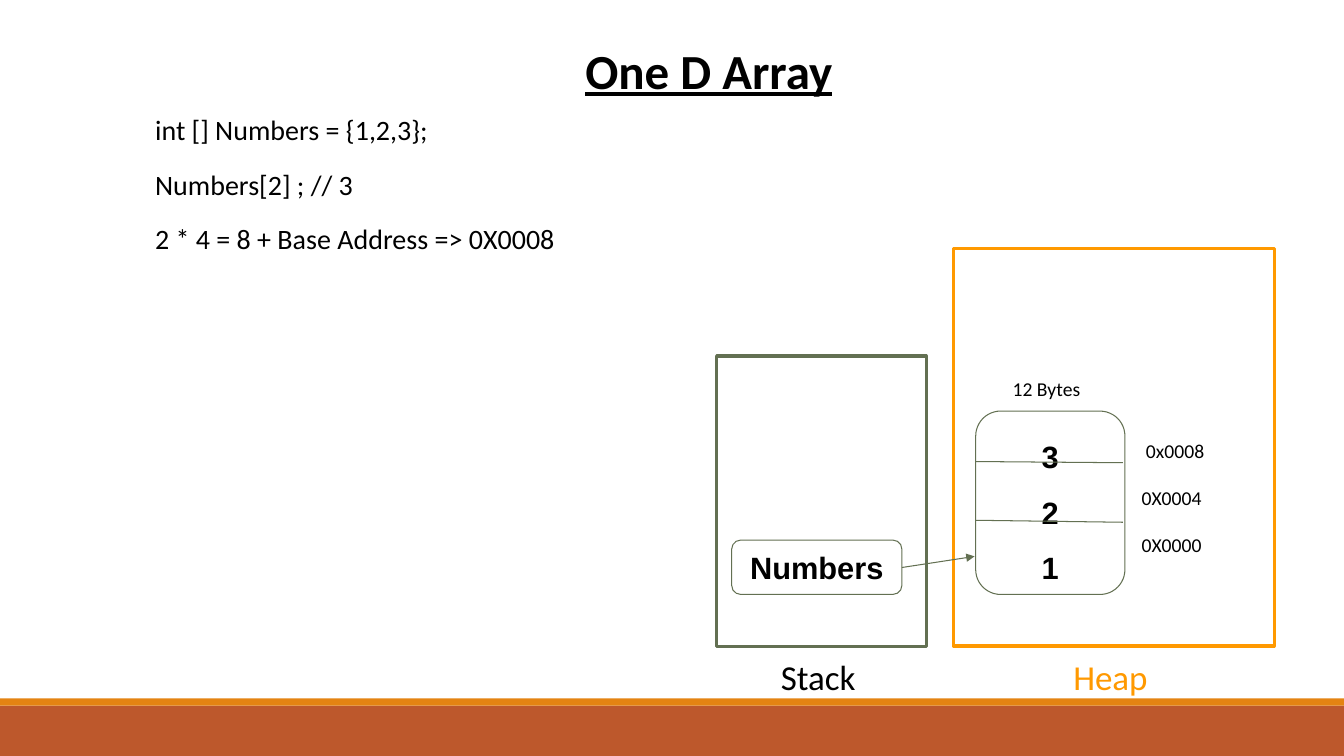
from lxml.etree import SubElement
from pptx import Presentation
from pptx.dml.color import RGBColor
from pptx.enum.shapes import MSO_CONNECTOR, MSO_SHAPE
from pptx.enum.text import MSO_ANCHOR, PP_ALIGN
from pptx.oxml.ns import qn
from pptx.util import Cm, Pt

BLACK = RGBColor(0x00, 0x00, 0x00)
GREEN = RGBColor(0x63, 0x70, 0x52)
AMBER = RGBColor(0xFF, 0x99, 0x00)
ORANGE = RGBColor(0xE4, 0x83, 0x12)
RUST = RGBColor(0xBD, 0x58, 0x2C)

WIDTH, HEIGHT = 33.87, 19.05
INSET = 0.25
THIN, THICK = 0.75, 2.25


class MemorySlide:
    """Draws on one slide; all lengths are in centimetres."""
    text_font, box_font = "Calibri", "Arial"

    def __init__(self, prs):
        self.slide = prs.slides.add_slide(prs.slide_layouts[6])

    def fill_text(self, s, lines, size, font, color=BLACK, bold=False,
                  underline=False):
        tf = s.text_frame
        tf.word_wrap = True
        tf.margin_left = tf.margin_right = Cm(INSET)
        tf.margin_top = tf.margin_bottom = Cm(INSET)
        tf.text = "\n".join(lines)
        for p in tf.paragraphs:
            for r in p.runs:
                r.font.name, r.font.size = font, Pt(size)
                r.font.bold, r.font.underline = bold, underline
                r.font.color.rgb = color
        return tf

    def text(self, x, y, w, h, lines, size, gap=0, **style):
        s = self.slide.shapes.add_textbox(Cm(x), Cm(y), Cm(w), Cm(h))
        tf = self.fill_text(s, lines, size, self.text_font, **style)
        for p in tf.paragraphs[1:]:
            p.space_before = Pt(gap)

    def shape(self, kind, x, y, w, h):
        s = self.slide.shapes.add_shape(kind, Cm(x), Cm(y), Cm(w), Cm(h))
        s.shadow.inherit = False
        return s

    def bar(self, y, h, color):
        s = self.shape(MSO_SHAPE.RECTANGLE, 0, y, WIDTH, h)
        s.fill.solid()
        s.fill.fore_color.rgb = color
        s.line.fill.background()

    def outline(self, kind, x, y, w, h, color, weight):
        s = self.shape(kind, x, y, w, h)
        s.fill.background()
        s.line.color.rgb, s.line.width = color, Pt(weight)
        return s

    def region(self, x, y, w, h, color):
        self.outline(MSO_SHAPE.RECTANGLE, x, y, w, h, color, THICK)

    def variable(self, x, y, w, h, lines, spacing=1.0):
        """Rounded box with bold centred text."""
        s = self.outline(MSO_SHAPE.ROUNDED_RECTANGLE, x, y, w, h, GREEN, THIN)
        tf = self.fill_text(s, lines, 22, self.box_font, bold=True)
        tf.vertical_anchor = MSO_ANCHOR.MIDDLE
        for p in tf.paragraphs:
            p.alignment, p.line_spacing = PP_ALIGN.CENTER, spacing

    def line(self, x1, y1, x2, y2, arrow=False):
        c = self.slide.shapes.add_connector(
            MSO_CONNECTOR.STRAIGHT, Cm(x1), Cm(y1), Cm(x2), Cm(y2))
        c.line.color.rgb, c.line.width = GREEN, Pt(THIN)
        properties = c.element.spPr
        if arrow:
            SubElement(properties.find(qn("a:ln")), qn("a:tailEnd"),
                       type="triangle")
        SubElement(properties, qn("a:effectLst"))


def main():
    prs = Presentation()
    prs.slide_width, prs.slide_height = Cm(WIDTH), Cm(HEIGHT)
    page = MemorySlide(prs)

    page.bar(17.78, 1.27, RUST)
    page.bar(17.6, 0.18, ORANGE)
    page.text(14.5, 0.76, 8.84, 2.01, ["One D Array"], 35,
              bold=True, underline=True)

    code = ["int [] Numbers = {1,2,3};", "Numbers[2] ; // 3",
            "2 * 4 = 8 + Base Address => 0X0008"]
    for i, statement in enumerate(code):
        page.text(3.66, 2.59 + 1.37 * i, 15.57, 1.37, [statement], 20)

    page.region(18.06, 8.97, 5.28, 7.32, GREEN)
    page.text(19.43, 16.28, 2.54, 1.57, ["Stack"], 25)
    page.region(24.03, 6.27, 8.08, 10.01, AMBER)
    page.text(26.8, 16.28, 2.54, 1.57, ["Heap"], 25, color=AMBER)

    page.variable(18.44, 13.61, 4.29, 1.37, ["Numbers"])
    page.line(22.73, 14.3, 24.56, 14.02, arrow=True)

    page.variable(24.59, 10.36, 3.76, 4.62, ["3", "2", "1"], spacing=1.5)
    for left_y, right_y in ((11.63, 11.66), (13.11, 13.16)):
        page.line(24.59, left_y, 28.3, right_y)
    page.text(25.27, 9.25, 4.78, 1.12, ["12 Bytes"], 14)
    page.text(28.52, 10.8, 5.13, 3.51, [" 0x0008", "0X0004", "0X0000"], 14,
              gap=17)

    prs.save("out.pptx")


if __name__ == "__main__":
    main()
